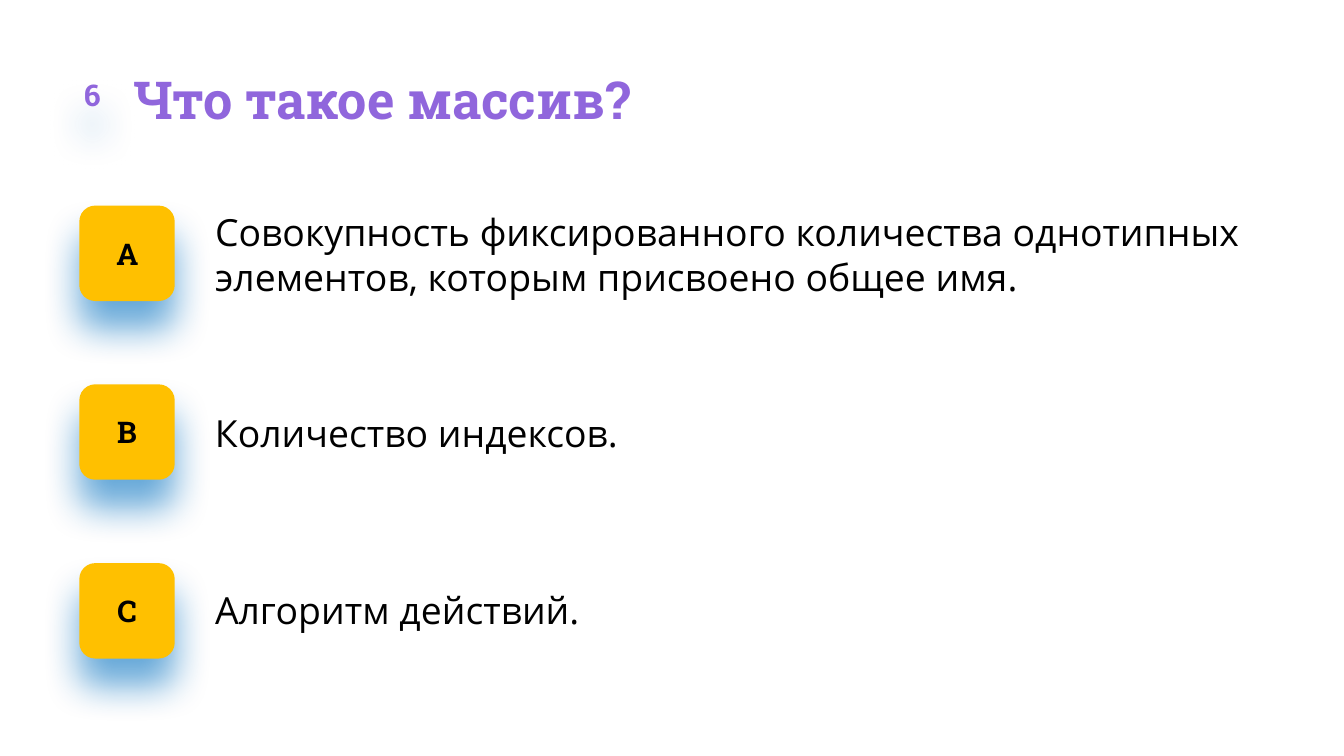
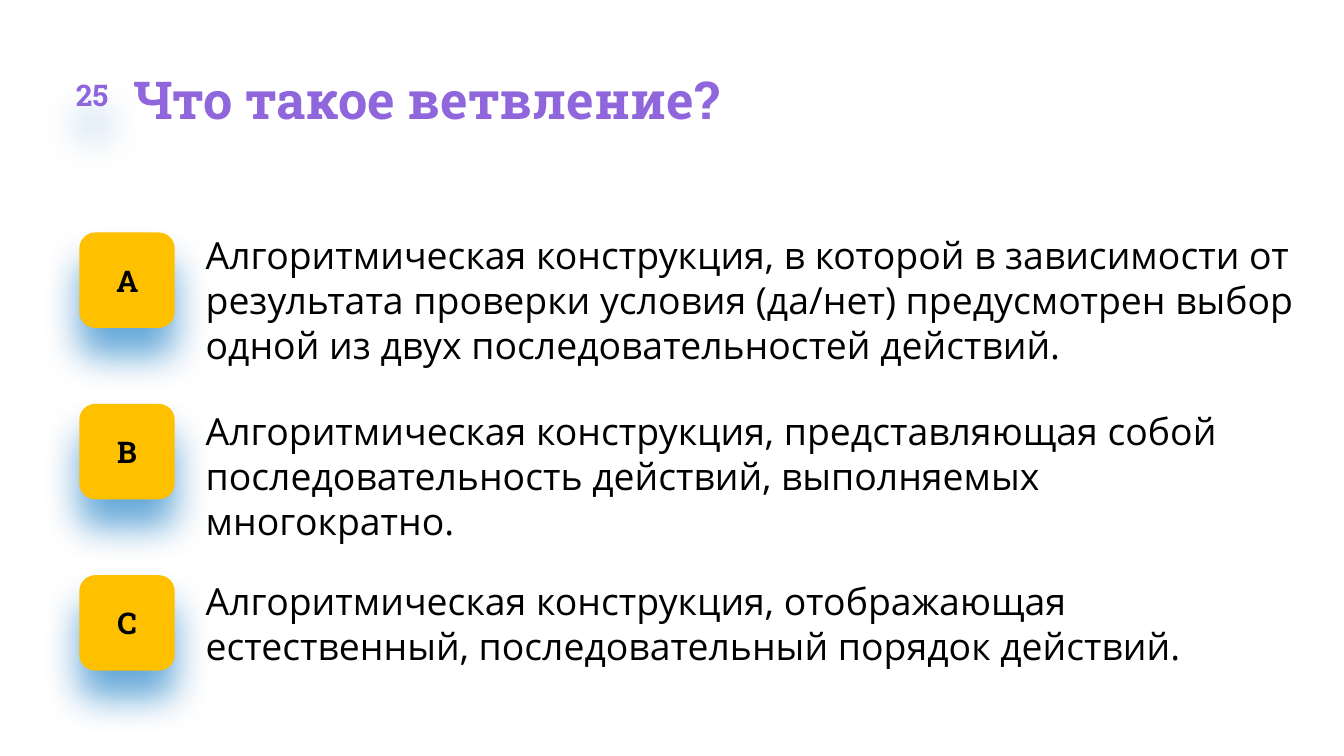
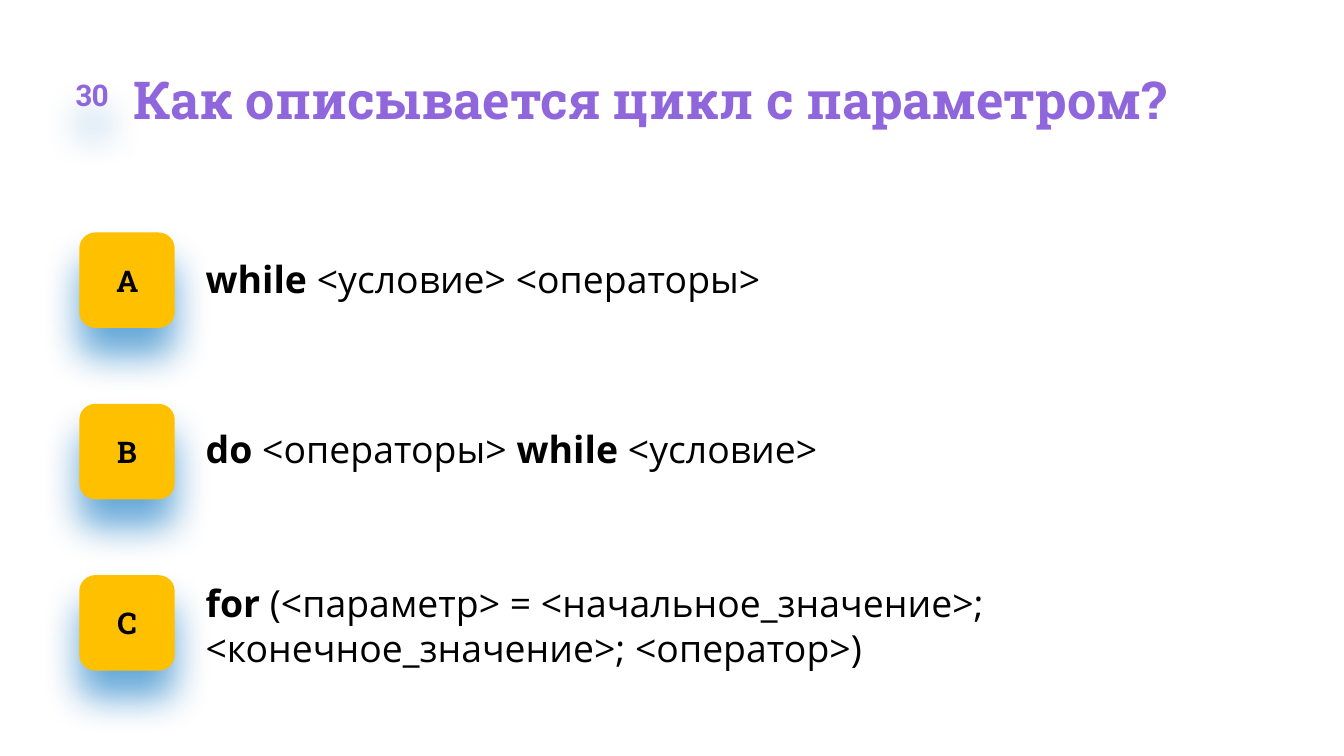
from dataclasses import dataclass

from lxml.etree import SubElement
from pptx import Presentation
from pptx.dml.color import RGBColor
from pptx.enum.shapes import MSO_SHAPE
from pptx.enum.text import MSO_ANCHOR, MSO_AUTO_SIZE, PP_ALIGN
from pptx.oxml.ns import qn
from pptx.util import Inches, Pt

COLORS = {
    "title": "9066DC",
    "badge": "FFC000",
    "shadow": "0070C0",
    "text": "000000",
}
HEADING_FONT = "Roboto Slab"
BODY_FONT = "Open Sans"
LETTERS = ("А", "B", "C")
BADGE_LEFT, BADGE_SIZE = 0.59, 0.71
NUMBER_LEFT, NUMBER_TOP, NUMBER_SIZE = 0.39, 0.41, 0.59
TITLE_LEFT, TITLE_TOP, TITLE_HEIGHT = 0.99, 0.47, 0.47
LINE_HEIGHT = 0.34
ANSWER_INDENT = 0.14


@dataclass(frozen=True)
class Run:
    text: str
    bold: bool = False


@dataclass(frozen=True)
class Answer:
    top: float
    width: float
    lines: int
    runs: tuple[Run, ...]


@dataclass(frozen=True)
class Question:
    number: int
    title: str
    title_width: float
    first_badge_top: float
    last_badge_top: float
    answer_left: float
    answers: tuple[Answer, ...]

    def badge_top(self, row: int) -> float:
        step = (self.last_badge_top - self.first_badge_top) / (len(LETTERS) - 1)
        return self.first_badge_top + row * step


QUESTIONS = (
    Question(6, "Что такое массив?", 8.87, 1.53, 4.19, 1.46, (
        Answer(1.56, 7.95, 2, (Run(
            "Совокупность фиксированного количества однотипных элементов, "
            "которым присвоено общее имя."),)),
        Answer(3.05, 7.24, 1, (Run("Количество индексов."),)),
        Answer(4.37, 8.15, 1, (Run("Алгоритм действий."),)),
    )),
    Question(25, "Что такое ветвление?", 8.81, 1.73, 4.28, 1.39, (
        Answer(1.73, 8.3, 3, (Run(
            "Алгоритмическая конструкция, в которой в зависимости от "
            "результата проверки условия (да/нет) предусмотрен выбор одной "
            "из двух последовательностей действий."),)),
        Answer(3.04, 8.02, 3, (Run(
            "Алгоритмическая конструкция, представляющая собой "
            "последовательность действий, выполняемых многократно."),)),
        Answer(4.3, 8.3, 2, (Run(
            "Алгоритмическая конструкция, отображающая естественный, "
            "последовательный порядок действий."),)),
    )),
    Question(30, "Как описывается цикл с параметром?", 8.81, 1.73, 4.28, 1.39, (
        Answer(1.91, 8.3, 1, (
            Run("while", True), Run(" <условие> <операторы>"))),
        Answer(3.17, 8.02, 1, (
            Run("do ", True), Run("<операторы> "),
            Run("while", True), Run(" <условие>"))),
        Answer(4.32, 8.3, 2, (
            Run("for ", True),
            Run("(<параметр> = <начальное_значение>; "
                "<конечное_значение>; <оператор>)"))),
    )),
)


def write_text(shape, runs: tuple[Run, ...], *, font: str, size: float,
               color: str, align=PP_ALIGN.LEFT, anchor=MSO_ANCHOR.TOP,
               indent: float = 0, line_spacing: float | None = None,
               grow: bool = False) -> None:
    frame = shape.text_frame
    frame.word_wrap = True
    frame.auto_size = (MSO_AUTO_SIZE.SHAPE_TO_FIT_TEXT if grow
                       else MSO_AUTO_SIZE.NONE)
    frame.vertical_anchor = anchor
    frame.margin_left = Inches(indent)
    frame.margin_top = frame.margin_right = frame.margin_bottom = 0
    paragraph = frame.paragraphs[0]
    paragraph.alignment = align
    if line_spacing:
        paragraph.line_spacing = line_spacing
    for item in runs:
        run = paragraph.add_run()
        run.text = item.text
        run.font.name = font
        run.font.size = Pt(size)
        run.font.bold = item.bold
        run.font.color.rgb = RGBColor.from_string(COLORS[color])


def add_soft_shadow(shape) -> None:
    """Drop a blurred, translucent shadow straight down."""
    shape.shadow.inherit = False
    effects = shape._element.spPr.find(qn("a:effectLst"))
    shadow = SubElement(effects, qn("a:outerShdw"), blurRad=str(Pt(20)),
                        dist=str(Pt(15)), dir="5400000", algn="t",
                        rotWithShape="0")
    color = SubElement(shadow, qn("a:srgbClr"), val=COLORS["shadow"])
    SubElement(color, qn("a:alpha"), val="60000")


def add_badge(slide, label: str, left: float, top: float, size: float, *,
              text_color: str, fill: str | None = None) -> None:
    badge = slide.shapes.add_shape(
        MSO_SHAPE.ROUNDED_RECTANGLE,
        Inches(left), Inches(top), Inches(size), Inches(size))
    if fill:
        badge.fill.solid()
        badge.fill.fore_color.rgb = RGBColor.from_string(COLORS[fill])
    else:
        badge.fill.background()
    badge.line.fill.background()
    add_soft_shadow(badge)
    write_text(badge, (Run(label, True),), font=HEADING_FONT, size=16,
               color=text_color, align=PP_ALIGN.CENTER,
               anchor=MSO_ANCHOR.MIDDLE)


def add_text(slide, runs: tuple[Run, ...], left: float, top: float,
             width: float, height: float, **text_format) -> None:
    box = slide.shapes.add_textbox(
        Inches(left), Inches(top), Inches(width), Inches(height))
    write_text(box, runs, grow=True, **text_format)


def add_question(presentation, question: Question) -> None:
    slide = presentation.slides.add_slide(presentation.slide_layouts[6])
    add_text(slide, (Run(question.title, True),), TITLE_LEFT, TITLE_TOP,
             question.title_width, TITLE_HEIGHT, font=HEADING_FONT, size=28,
             color="title", line_spacing=1.06)
    add_badge(slide, str(question.number), NUMBER_LEFT, NUMBER_TOP,
              NUMBER_SIZE, text_color="title")
    for row, (letter, answer) in enumerate(zip(LETTERS, question.answers)):
        add_badge(slide, letter, BADGE_LEFT, question.badge_top(row),
                  BADGE_SIZE, text_color="text", fill="badge")
        add_text(slide, answer.runs, question.answer_left, answer.top,
                 answer.width, answer.lines * LINE_HEIGHT, font=BODY_FONT,
                 size=20, color="text", indent=ANSWER_INDENT)


def main() -> None:
    presentation = Presentation()
    presentation.slide_width = Inches(10)
    presentation.slide_height = presentation.slide_width * 9 // 16
    for question in QUESTIONS:
        add_question(presentation, question)
    presentation.save("out.pptx")


if __name__ == "__main__":
    main()
